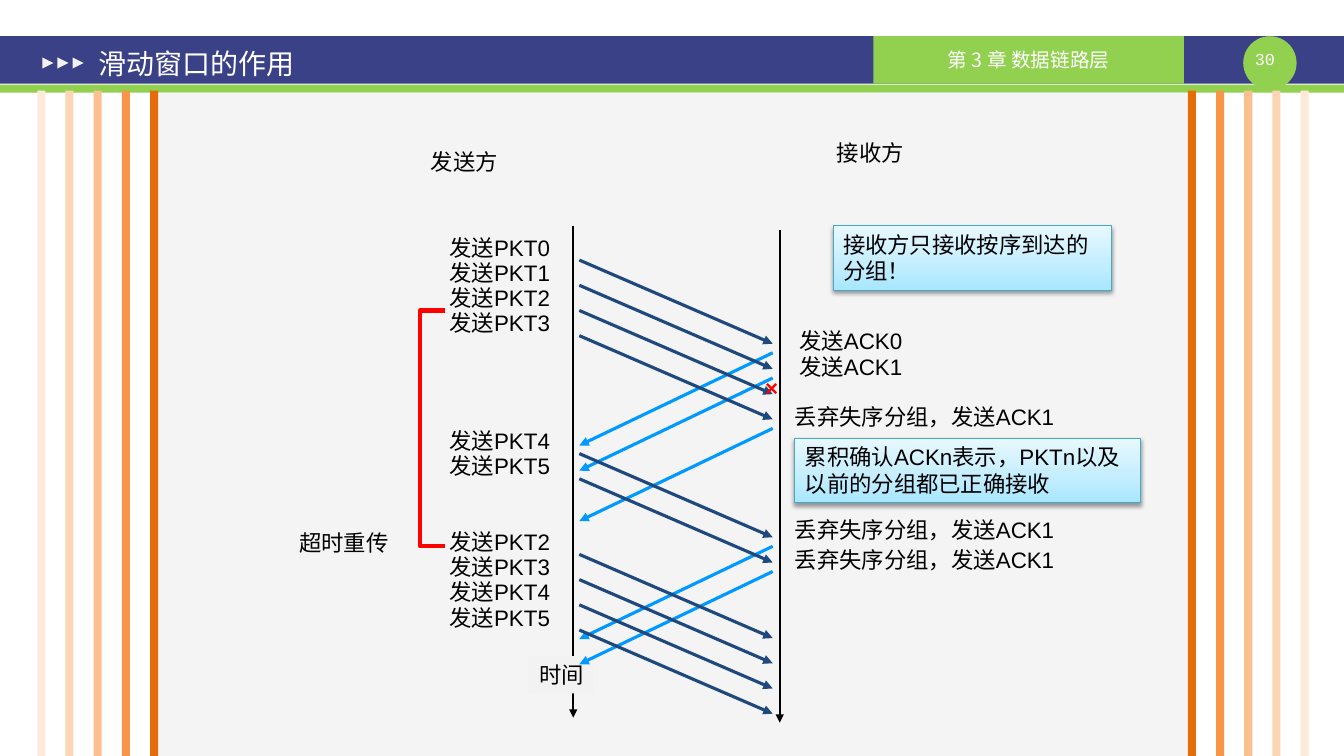
from dataclasses import dataclass

import pptx
import pptx.dml.color
import pptx.enum.shapes
import pptx.enum.text
import pptx.oxml
import pptx.oxml.ns
import pptx.util
from pptx.util import Inches

SHAPE = pptx.enum.shapes.MSO_SHAPE
ALIGN = pptx.enum.text.PP_ALIGN
ANCHOR = pptx.enum.text.MSO_ANCHOR
qn = pptx.oxml.ns.qn
NS = pptx.oxml.ns.nsdecls("a")


@dataclass(frozen=True)
class Theme:
    font: str = "Arial"
    cjk: str = "Noto Sans CJK SC"
    mono: str = "Courier New"
    body: float = 16
    title: float = 20
    chapter: float = 14
    number: float = 12
    black: str = "000000"
    white: str = "FFFFFF"
    navy: str = "3A4187"
    green: str = "92D050"
    panel: str = "F2F2F2"
    packet: str = "1F497D"
    ack: str = "0099FF"
    red: str = "FF0000"
    callout_line: str = "46AAC5"
    callout_stops: tuple = ((0, "A7E6FF"), (35, "C1EDFF"), (100, "E7F8FF"))
    stripes: tuple = ("E46C0A", "F79646", "FAC090", "FCD5B5", "FDEADA")


T = Theme()
rgb = pptx.dml.color.RGBColor.from_string

prs = pptx.Presentation()
prs.slide_width, prs.slide_height = Inches(13.34), Inches(7.5)
s = prs.slides.add_slide(prs.slide_layouts[6])


def add_box(text, x, y, w, h, *, shape=None, fill=None, size=T.body, font=T.font,
            color=T.black, bold=False, align=ALIGN.CENTER, anchor=ANCHOR.TOP,
            inset=(0, 0), wrap=True):
    """Add a text box, or a filled preset shape when shape is given."""
    at = [Inches(v) for v in (x, y, w, h)]
    if shape is None:
        sp = s.shapes.add_textbox(*at)
    else:
        sp = s.shapes.add_shape(shape, *at)
        sp.shadow.inherit = False
        sp.line.fill.background()
    if fill:
        sp.fill.solid()
        sp.fill.fore_color.rgb = rgb(fill)
    if text:
        tf = sp.text_frame
        tf.word_wrap = wrap
        tf.vertical_anchor = anchor
        tf.margin_left = tf.margin_right = Inches(inset[0])
        tf.margin_top = tf.margin_bottom = Inches(inset[1])
        p = tf.paragraphs[0]
        p.alignment = align
        r = p.add_run()
        r.text = text
        r.font.size = pptx.util.Pt(size)
        r.font.name = font
        r.font.bold = bold
        r.font.color.rgb = rgb(color)
    return sp


def add_arrow(x1, y1, x2, y2, color, width):
    line = s.shapes.add_connector(pptx.enum.shapes.MSO_CONNECTOR.STRAIGHT,
                                  Inches(x1), Inches(y1), Inches(x2), Inches(y2))
    line.line.color.rgb = rgb(color)
    line.line.width = pptx.util.Pt(width)
    line.line._get_or_add_ln().append(
        pptx.oxml.parse_xml(f'<a:tailEnd {NS} type="triangle"/>'))
    line._element.spPr.append(pptx.oxml.parse_xml(f"<a:effectLst {NS}/>"))


# Header
add_box("", 0, 0.36, 13.34, 0.47, shape=SHAPE.RECTANGLE, fill=T.navy)
add_box("", 0, 0.84, 13.34, 0.08, shape=SHAPE.RECTANGLE, fill=T.green)
add_box("", 12.34, 0.36, 0.53, 0.53, shape=SHAPE.OVAL, fill=T.green)
add_box("30 ", 12.34, 0.48, 0.53, 0.2, size=T.number, font=T.mono, color=T.white)
add_box("第 3 章 数据链路层", 8.67, 0.36, 3.08, 0.47, shape=SHAPE.RECTANGLE,
        fill=T.green, size=T.chapter, font=T.cjk, color=T.white, anchor=ANCHOR.MIDDLE)
for i in range(3):
    marker = add_box("", 0.42 + 0.15 * i, 0.57, 0.11, 0.11,
                     shape=SHAPE.ISOSCELES_TRIANGLE, fill=T.panel)
    marker.rotation = 90

# Panel and side stripes
panel = add_box("", 1.53, 0.92, 10.26, 6.58, shape=SHAPE.RECTANGLE, fill=T.panel)
panel._element.spPr.find(qn("a:solidFill"))[0].append(
    pptx.oxml.parse_xml(f'<a:alpha {NS} val="80000"/>'))
for inner_x, step in ((1.49, -0.28), (11.79, 0.28)):
    for i, color in enumerate(T.stripes):
        add_box("", inner_x + step * i, 0.9, 0.08, 6.6, shape=SHAPE.RECTANGLE, fill=color)

add_box("滑动窗口的作用", 0.85, 0.39, 5.83, 0.47, size=T.title, color=T.white,
        align=ALIGN.LEFT, anchor=ANCHOR.MIDDLE, inset=(0.13, 0.07))

# Time axes
add_box("发送方", 4.17, 1.42, 0.88, 0.37, inset=(0.1, 0.05), wrap=False)
add_box("接收方", 8.2, 1.33, 0.88, 0.37, inset=(0.1, 0.05), wrap=False)
add_arrow(5.69, 2.24, 5.69, 7.12, T.black, 1.5)
add_arrow(7.74, 2.28, 7.74, 7.17, T.black, 1.5)
add_box("", 5.28, 6.54, 0.62, 0.31, shape=SHAPE.RECTANGLE, fill=T.white)
add_box("时间", 5.25, 6.51, 0.65, 0.37, shape=SHAPE.RECTANGLE, fill=T.panel,
        inset=(0.1, 0.05), wrap=False)

# Acknowledgements and packets between the axes
SENDER_X, RECEIVER_X = 5.75, 7.67
for y in (3.5, 3.75, 4.25, 5.42, 5.67):
    add_arrow(RECEIVER_X, y, SENDER_X, y + 0.92, T.ack, 2.25)
for first_packet, first_y, count in ((0, 2.58, 4), (4, 4.5, 2), (2, 5.5, 4)):
    for i in range(count):
        y = first_y + 0.25 * i
        add_arrow(SENDER_X, y, RECEIVER_X, y + 0.83, T.packet, 2.25)
        add_box(f"发送PKT{first_packet + i}", 4, y - 0.26, 1.92, 0.27)

# Receiver's replies
for i in range(2):
    add_box(f"发送ACK{i}", 7.89, 3.25 + 0.25 * i, 1.11, 0.27)
for y in (4, 5.12, 5.42):
    add_box("丢弃失序分组，发送ACK1", 7.89, y, 3.28, 0.27, align=ALIGN.LEFT)

# Lost packet and timeout bracket
add_box("×", 7.45, 3.71, 0.42, 0.27, color=T.red, bold=True)
bracket = s.shapes.build_freeform(Inches(4.42), Inches(3.08))
bracket.add_line_segments([(Inches(x), Inches(y)) for x, y in
                           ((4.17, 3.08), (4.17, 5.42), (4.42, 5.42))], close=False)
sp = bracket.convert_to_shape()
sp.shadow.inherit = False
sp.fill.background()
sp.line.color.rgb = rgb(T.red)
sp.line.width = pptx.util.Pt(3)
add_box("超时重传", 2.5, 5.25, 1.83, 0.27)

# Callouts
stops = "".join(f'<a:gs pos="{pos * 1000}"><a:srgbClr val="{color}"/></a:gs>'
                for pos, color in T.callout_stops)
for text, x, y, w in (
        ("接收方只接收按序到达的分组！", 8.27, 2.24, 2.76),
        ("累积确认ACKn表示，PKTn以及以前的分组都已正确接收", 7.89, 4.35, 3.43)):
    sp = add_box(text, x, y, w, 0.64, shape=SHAPE.RECTANGLE, fill=T.white,
                 align=ALIGN.LEFT, inset=(0.1, 0.05))
    sp.line.color.rgb = rgb(T.callout_line)
    sp.line.width = pptx.util.Pt(0.75)
    spPr = sp._element.spPr
    spPr.replace(spPr.find(qn("a:solidFill")), pptx.oxml.parse_xml(
        f'<a:gradFill {NS} rotWithShape="1"><a:gsLst>{stops}</a:gsLst>'
        '<a:lin ang="16200000" scaled="1"/></a:gradFill>'))
    spPr.find(qn("a:effectLst")).append(pptx.oxml.parse_xml(
        f'<a:outerShdw {NS} blurRad="40000" dist="20000" dir="5400000" rotWithShape="0">'
        f'<a:srgbClr val="{T.black}"><a:alpha val="38000"/></a:srgbClr></a:outerShdw>'))

prs.save("out.pptx")
